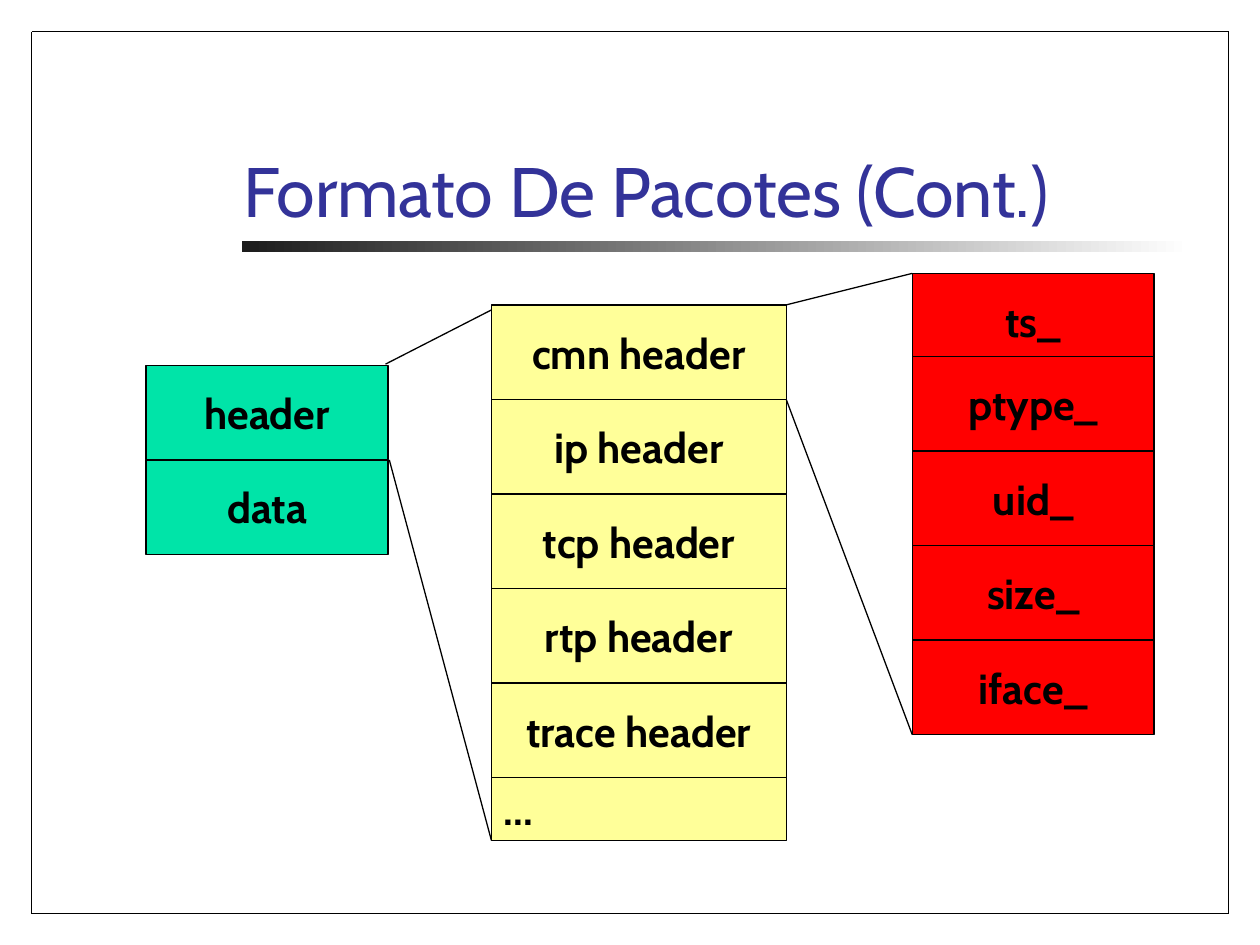
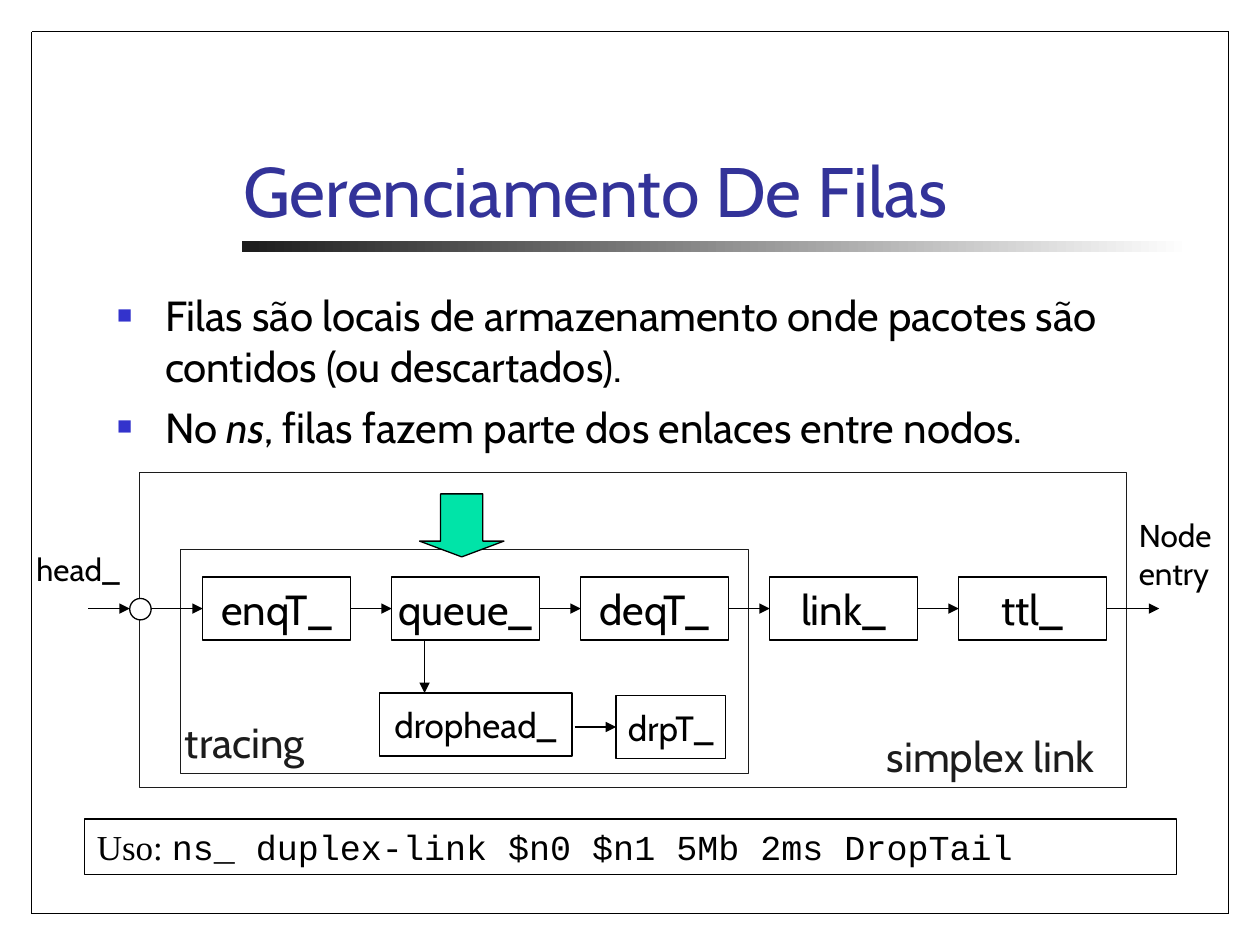
from dataclasses import dataclass
from itertools import pairwise
from typing import NamedTuple

from lxml.etree import SubElement
from pptx import Presentation
from pptx.dml.color import RGBColor
from pptx.enum.shapes import MSO_CONNECTOR, MSO_SHAPE
from pptx.enum.text import MSO_ANCHOR, MSO_AUTO_SIZE, PP_ALIGN
from pptx.oxml.ns import qn
from pptx.util import Inches, Pt

COLORS = {
    "title": "333399",
    "bullet": "3333CC",
    "black": "000000",
    "dark": "1C1C1C",
    "white": "FFFFFF",
    "green": "00E4A8",
    "yellow": "FFFF99",
    "red": "FF0000",
}
FONT = "Cabin"
TITLE_ONLY, TITLE_AND_BODY = 5, 1
LEFT_SIDE, RIGHT_SIDE = 1, 3
CELL_HEIGHT = 0.75


class Area(NamedTuple):
    left: float
    top: float
    width: float
    height: float

    def lengths(self):
        return [Inches(value) for value in self]


class Point(NamedTuple):
    x: float
    y: float


class Span(NamedTuple):
    text: str
    font: str = FONT
    italic: bool = False


@dataclass
class Stack:
    """A column of packet fields; first_step is the drop to the second one."""
    left: float
    top: float
    width: float
    color: str
    labels: list[str]
    first_step: float = CELL_HEIGHT


@dataclass
class Label:
    area: Area
    lines: list[str]
    size: int
    color: str = "black"
    wrap: bool = False


STACKS = [
    Stack(1.16, 2.9, 1.92, "green", ["header", "data"]),
    Stack(3.9, 2.42, 2.34, "yellow",
          ["cmn header", "ip header", "tcp header", "rtp header", "trace header"]),
    Stack(7.24, 2.17, 1.92, "red",
          ["ts_", "ptype_", "uid_", "size_", "iface_"], first_step=0.66),
]
ZOOM_LINES = [
    (Point(3.06, 2.89), Point(3.9, 2.46)),
    (Point(3.09, 3.65), Point(3.9, 6.67)),
    (Point(6.24, 2.42), Point(7.24, 2.17)),
    (Point(6.24, 3.17), Point(7.24, 5.83)),
]
QUEUE_BULLETS = [
    [Span("Filas são locais de armazenamento onde pacotes são contidos (ou descartados).")],
    [Span("No "), Span("ns", italic=True),
     Span(", filas fazem parte dos enlaces entre nodos.")],
]
LINK_STAGES = ["enqT_", "queue_", "deqT_", "link_", "ttl_"]
LINK_LABELS = [
    Label(Area(8.94, 4.05, 0.98, 0.7), ["Node", "entry"], 18, wrap=True),
    Label(Area(0.19, 4.32, 0.9, 0.4), ["head_"], 18),
    Label(Area(1.37, 5.64, 1.3, 0.5), ["tracing"], 24, "dark"),
    Label(Area(6.94, 5.75, 2.05, 0.5), ["simplex link"], 24, "dark"),
]


def rgb(name: str) -> RGBColor:
    return RGBColor.from_string(COLORS[name])


def write_text(shape, lines, *, size, color="black", bold=False,
               align=PP_ALIGN.LEFT, anchor=MSO_ANCHOR.TOP, wrap=True, space_before=0):
    """Fill a shape with lines, each a string or a list of spans."""
    frame = shape.text_frame
    frame.word_wrap = wrap
    frame.auto_size = MSO_AUTO_SIZE.NONE
    frame.vertical_anchor = anchor
    for index, line in enumerate(lines):
        para = frame.add_paragraph() if index else frame.paragraphs[0]
        para.alignment = align
        para.space_before = Pt(space_before if index else 0)
        for span in [Span(line)] if isinstance(line, str) else line:
            run = para.add_run()
            run.text = span.text
            run.font.name = span.font
            run.font.size = Pt(size)
            run.font.bold = bold
            run.font.italic = span.italic
            run.font.color.rgb = rgb(color)


def place(shape, area: Area):
    shape.left, shape.top, shape.width, shape.height = area.lengths()


def add_box(slide, area: Area, *, kind=MSO_SHAPE.RECTANGLE, fill=None, line="black"):
    box = slide.shapes.add_shape(kind, *area.lengths())
    box.shadow.inherit = False
    if fill:
        box.fill.solid()
        box.fill.fore_color.rgb = rgb(fill)
    else:
        box.fill.background()
    box.line.color.rgb = rgb(line)
    box.line.width = Pt(0.75)
    return box


def add_field(slide, area: Area, text: str, *, size=24, fill=None, bold=False):
    """Add a box with one centred label."""
    box = add_box(slide, area, fill=fill)
    write_text(box, [text], size=size, bold=bold, align=PP_ALIGN.CENTER,
               anchor=MSO_ANCHOR.MIDDLE, wrap=False)
    return box


def add_line(slide, start: Point, end: Point, *, arrow=False, source=None, target=None):
    """Draw a line, joined to the right of source and the left of target."""
    line = slide.shapes.add_connector(
        MSO_CONNECTOR.STRAIGHT, *[Inches(value) for value in (*start, *end)])
    line.line.color.rgb = rgb("black")
    line.line.width = Pt(0.75)
    properties = line._element.spPr
    if arrow:
        SubElement(properties.find(qn("a:ln")), qn("a:tailEnd"), type="triangle")
    SubElement(properties, qn("a:effectLst"))
    if source:
        line.begin_connect(source, RIGHT_SIDE)
    if target:
        line.end_connect(target, LEFT_SIDE)


def add_page(deck, layout: int, title: str):
    """Add a slide with the shared title, gradient band and frame."""
    page = deck.slides.add_slide(deck.slide_layouts[layout])
    place(page.shapes.title, Area(1.83, 0.64, 7.58, 1.25))
    write_text(page.shapes.title, [title], size=40, color="title",
               anchor=MSO_ANCHOR.BOTTOM)
    band = add_box(page, Area(1.92, 1.91, 7.53, 0.09))
    band.line.fill.background()
    band.fill.gradient()
    band.fill.gradient_angle = 180
    for stop, color, position in zip(band.fill.gradient_stops, ("white", "dark"), (0, 1)):
        stop.color.rgb = rgb(color)
        stop.position = position
    corners = [Point(0.25, 0.25), Point(9.75, 0.25), Point(9.75, 7.25), Point(0.25, 7.25)]
    for start, end in pairwise(corners + corners[:1]):
        add_line(page, start, end)
    return page


def add_stack(page, stack: Stack):
    top = stack.top
    for index, label in enumerate(stack.labels):
        add_field(page, Area(stack.left, top, stack.width, CELL_HEIGHT), label,
                  fill=stack.color, bold=True)
        top += CELL_HEIGHT if index else stack.first_step


def add_bullets(body):
    write_text(body, QUEUE_BULLETS, size=24, space_before=6)
    for para in body.text_frame.paragraphs:
        properties = para._p.get_or_add_pPr()
        properties.set("marL", str(Inches(0.38)))
        properties.set("indent", str(-Inches(0.38)))
        color = SubElement(properties, qn("a:buClr"))
        SubElement(color, qn("a:srgbClr"), val=COLORS["bullet"])
        SubElement(properties, qn("a:buSzPct"), val="60000")
        SubElement(properties, qn("a:buChar"), char="■")


def build_packet_page(deck):
    page = add_page(deck, TITLE_ONLY, "Formato De Pacotes (Cont.)")
    for stack in STACKS:
        add_stack(page, stack)
    more = add_box(page, Area(3.9, 6.17, 2.34, 0.5), fill="yellow")
    write_text(more, ["..."], size=24, bold=True)
    for start, end in ZOOM_LINES:
        add_line(page, start, end)


def add_link_diagram(page):
    for area in (Area(1.11, 3.75, 7.83, 2.5), Area(1.43, 4.36, 4.51, 1.78)):
        add_box(page, area, line="dark")
    add_box(page, Area(1.03, 4.75, 0.17, 0.17), kind=MSO_SHAPE.OVAL, fill="white")

    middle = 4.83
    stages = [add_field(page, Area(1.61 + 1.5 * index, 4.58, 1.17, 0.5), name)
              for index, name in enumerate(LINK_STAGES)]
    add_line(page, Point(0.7, middle), Point(1.03, middle), arrow=True)
    add_line(page, Point(1.2, middle), Point(1.61, middle), arrow=True, target=stages[0])
    for index, (source, target) in enumerate(pairwise(stages)):
        start = 2.78 + 1.5 * index
        add_line(page, Point(start, middle), Point(start + 0.33, middle),
                 arrow=True, source=source, target=target)
    add_line(page, Point(8.78, middle), Point(9.2, middle), arrow=True, source=stages[-1])

    add_field(page, Area(3.01, 5.5, 1.53, 0.5), "drophead_", size=20)
    drop_trace = add_field(page, Area(4.89, 5.52, 0.87, 0.5), "drpT_", size=20)
    add_line(page, Point(3.37, 5.08), Point(3.37, 5.5), arrow=True)
    add_line(page, Point(4.56, 5.77), Point(4.89, 5.77), arrow=True, target=drop_trace)

    for label in LINK_LABELS:
        box = page.shapes.add_textbox(*label.area.lengths())
        write_text(box, label.lines, size=label.size, color=label.color, wrap=label.wrap)
    add_box(page, Area(3.33, 3.92, 0.67, 0.5), kind=MSO_SHAPE.DOWN_ARROW, fill="green"
            ).adjustments[1] = 0.25


def build_queue_page(deck):
    page = add_page(deck, TITLE_AND_BODY, "Gerenciamento De Filas")
    body = page.placeholders[1]
    place(body, Area(0.83, 2.25, 8.46, 4.83))
    add_bullets(body)
    add_link_diagram(page)
    usage = add_box(page, Area(0.67, 6.5, 8.67, 0.44))
    write_text(usage, [[Span("Uso: ", "Times New Roman"),
                        Span("ns_ duplex-link $n0 $n1 5Mb 2ms DropTail", "Courier New")]],
               size=20)


def main():
    deck = Presentation()
    deck.slide_width, deck.slide_height = Inches(10), Inches(7.5)
    build_packet_page(deck)
    build_queue_page(deck)
    deck.save("out.pptx")


if __name__ == "__main__":
    main()
